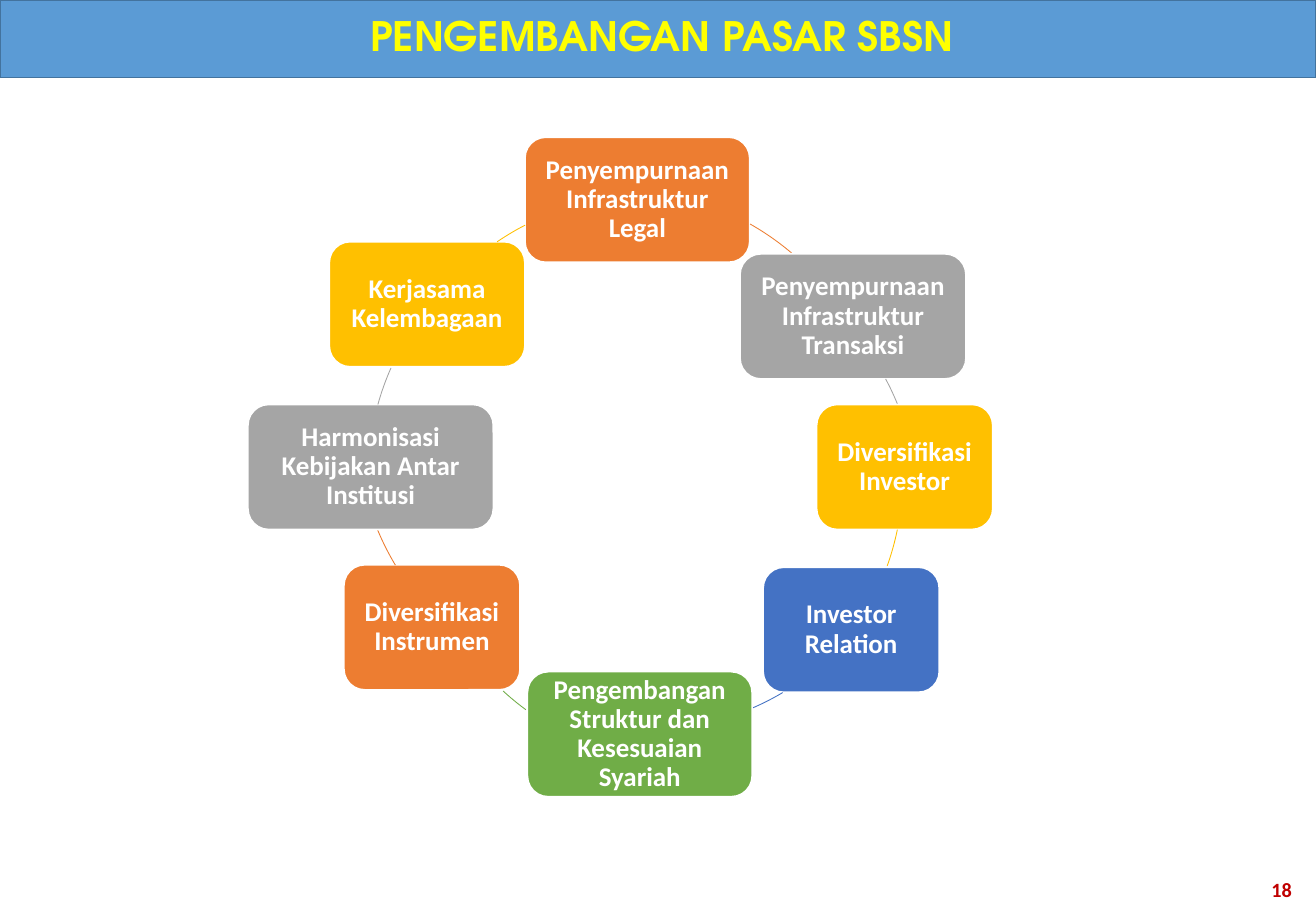
from collections import namedtuple
from math import atan2, degrees

from pptx import Presentation
from pptx.dml.color import RGBColor
from pptx.enum.shapes import MSO_SHAPE as SHAPE
from pptx.enum.text import MSO_ANCHOR as ANCHOR, PP_ALIGN as ALIGN
from pptx.util import Inches, Pt

Box = namedtuple("Box", "left top width height")
Topic = namedtuple("Topic", "text color left top width arc_left arc_top arc_start arc_end")

ORANGE, GRAY, GOLD = "ED7D31", "A5A5A5", "FFC000"
BLUE, GREEN, WHITE = "4472C4", "70AD47", "FFFFFF"
TOPIC_HEIGHT = 1.03
RING_SIZE = 4.4

TOPICS = [
    Topic("Penyempurnaan Infrastruktur Legal", ORANGE, 2.28, 0, 1.85,
          0.85, 0.43, (4.13, 0.72), (4.47, 0.96)),
    Topic("Penyempurnaan Infrastruktur Transaksi", GRAY, 4.05, 0.96, 1.86,
          1.11, 0.83, (5.25, 1.99), (5.34, 2.2)),
    Topic("Diversifikasi Investor", GOLD, 4.68, 2.2, 1.45,
          0.99, 0.59, (5.34, 3.23), (5.26, 3.53)),
    Topic("Investor Relation", BLUE, 4.24, 3.54, 1.45,
          1.08, 0.48, (4.4, 4.57), (4.15, 4.7)),
    Topic("Pengembangan Struktur dan Kesesuaian Syariah", GREEN, 2.3, 4.4, 1.85,
          1.39, 0.74, (2.29, 4.71), (2.1, 4.56)),
    Topic("Diversifikasi Instrumen", ORANGE, 0.79, 3.52, 1.45,
          0.9, 0.19, (1.22, 3.52), (1.07, 3.23)),
    Topic("Harmonisasi Kebijakan Antar Institusi", GRAY, 0, 2.2, 2.02,
          0.99, 0.59, (1.07, 2.2), (1.18, 1.9)),
    Topic("Kerjasama Kelembagaan", GOLD, 0.67, 0.86, 1.61,
          1.09, 0.48, (2.05, 0.86), (2.28, 0.72)),
]


def rgb(value):
    return RGBColor.from_string(value)


def add_panel(slide, kind, box, fill, line, line_width):
    shape = slide.shapes.add_shape(kind, *map(Inches, box))
    shape.shadow.inherit = False
    if fill:
        shape.fill.solid()
        shape.fill.fore_color.rgb = rgb(fill)
    else:
        shape.fill.background()
    shape.line.color.rgb = rgb(line)
    shape.line.width = Pt(line_width)
    return shape


def write_text(shape, text, size, color, align, anchor, margins, font="Calibri"):
    frame = shape.text_frame
    frame.word_wrap = True
    frame.vertical_anchor = anchor
    frame.margin_left = frame.margin_right = Inches(margins[0])
    frame.margin_top = frame.margin_bottom = Inches(margins[1])
    paragraph = frame.paragraphs[0]
    paragraph.alignment = align
    run = paragraph.add_run()
    run.text = text
    run.font.name = font
    run.font.size = Pt(size)
    run.font.bold = True
    run.font.color.rgb = rgb(color)
    return paragraph


def add_header(slide, box):
    add_panel(slide, SHAPE.RECTANGLE, box, "5B9BD5", "43739E", 1)
    title = slide.shapes.add_textbox(
        Inches(box.left + 0.04), Inches(box.top + 0.05),
        Inches(box.width - 0.02), Inches(0.48))
    write_text(title, "PENGEMBANGAN PASAR SBSN", 24, "FFFF00",
               ALIGN.CENTER, ANCHOR.TOP, (0.08, 0.04), "TeX Gyre Adventor")


def add_page_number(slide, box):
    number = slide.shapes.add_textbox(*map(Inches, box))
    write_text(number, "18", 12, "C00000", ALIGN.RIGHT, ANCHOR.MIDDLE, (0.1, 0.05))


def add_arc(slide, box, topic):
    ring = Box(box.left + topic.arc_left, box.top + topic.arc_top, RING_SIZE, RING_SIZE)
    arc = add_panel(slide, SHAPE.ARC, ring, None, topic.color, 0.5)
    center_x = topic.arc_left + RING_SIZE / 2
    center_y = topic.arc_top + RING_SIZE / 2
    for index, (x, y) in enumerate((topic.arc_start, topic.arc_end)):
        angle = degrees(atan2(y - center_y, x - center_x)) % 360
        arc.adjustments[index] = angle * 0.6


def add_cycle(slide, box):
    for topic in TOPICS:
        place = Box(box.left + topic.left, box.top + topic.top, topic.width, TOPIC_HEIGHT)
        shape = add_panel(slide, SHAPE.ROUNDED_RECTANGLE, place, topic.color, WHITE, 1)
        paragraph = write_text(shape, topic.text, 16, WHITE,
                               ALIGN.CENTER, ANCHOR.MIDDLE, (0.07, 0.07))
        paragraph.line_spacing = 0.9
        add_arc(slide, box, topic)


def main():
    presentation = Presentation()
    presentation.slide_width = Inches(10.83)
    presentation.slide_height = Inches(7.5)
    slide = presentation.slides.add_slide(presentation.slide_layouts[6])
    add_header(slide, Box(0, 0, 10.83, 0.64))
    add_page_number(slide, Box(10.03, 7.18, 0.7, 0.29))
    add_cycle(slide, Box(2.04, 1.13, 6.13, 5.43))
    presentation.save("out.pptx")


if __name__ == "__main__":
    main()
